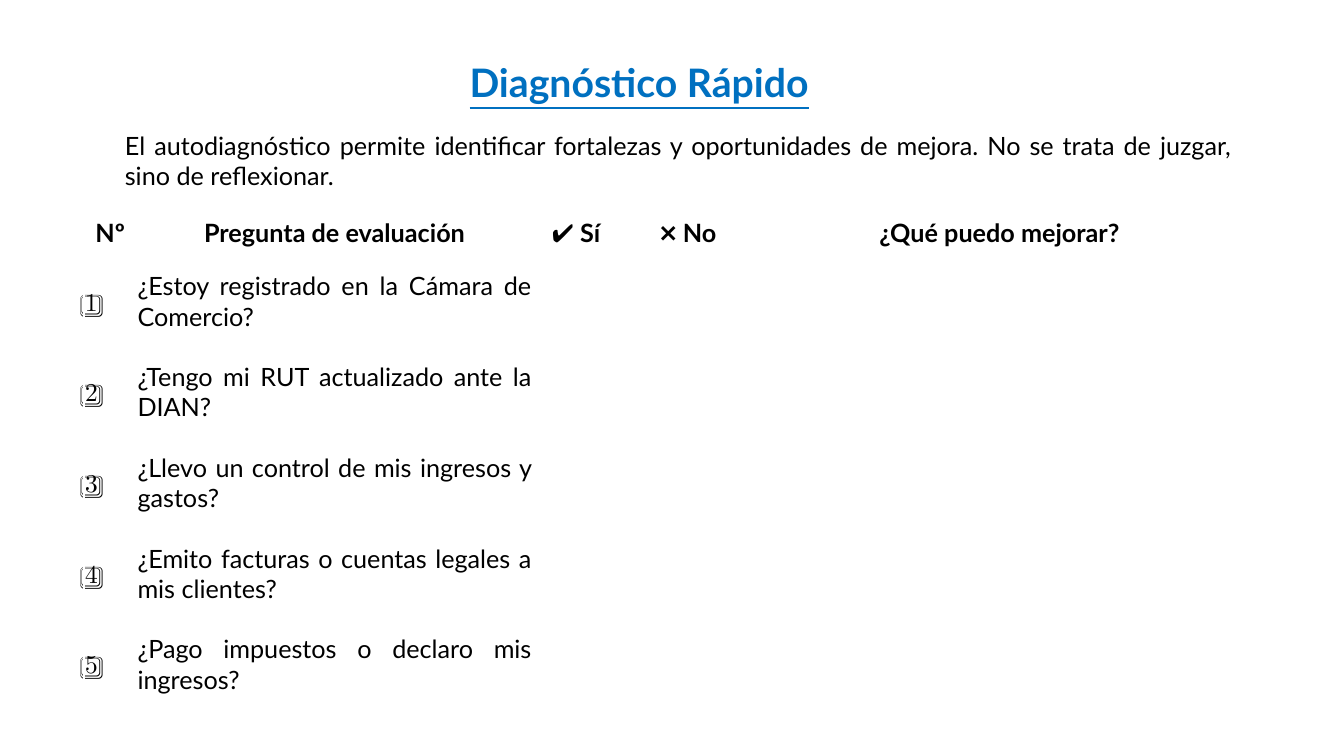
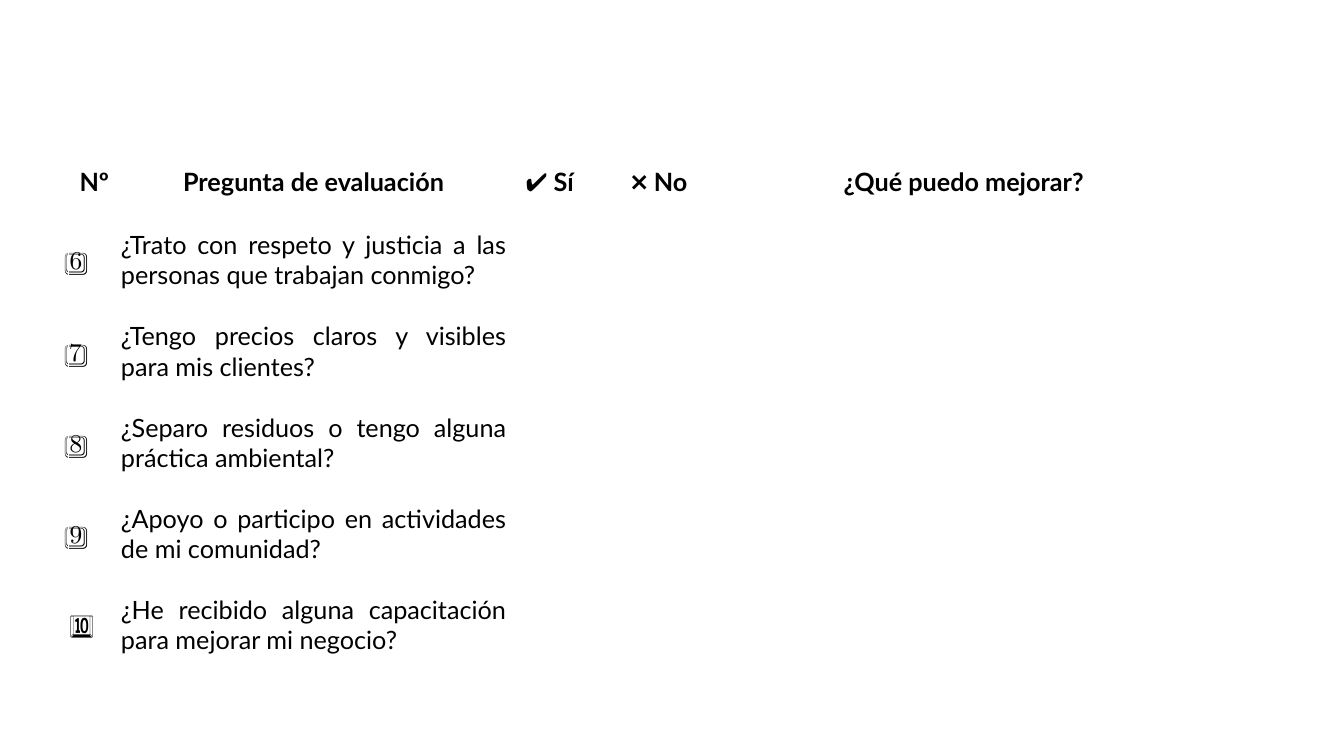
from dataclasses import dataclass

from lxml import etree
from pptx import Presentation
from pptx.dml.color import RGBColor
from pptx.enum.text import MSO_ANCHOR, MSO_AUTO_SIZE, PP_ALIGN
from pptx.oxml.ns import qn
from pptx.util import Pt

CENTER, JUSTIFY, LEFT = PP_ALIGN.CENTER, PP_ALIGN.JUSTIFY, PP_ALIGN.LEFT
MIDDLE = MSO_ANCHOR.MIDDLE
NO_AUTOFIT = MSO_AUTO_SIZE.NONE

FONT = "Lato"
COLORS = {"title": "0070C0", "text": "000000"}
TITLE_SIZE, TEXT_SIZE = 28, 18
CONTENT_LAYOUT, BLANK_LAYOUT = 1, 6

HEADERS = ("Nº", "Pregunta de evaluación", "✔️ Sí", "❌ No", "¿Qué puedo mejorar?")
COLUMN_WIDTHS = (37.5, 283, 62, 98, 347)  # proportions, scaled to the table width
CELL_MARGIN = 0.75


@dataclass(frozen=True)
class Question:
    number: str
    text: str


@dataclass(frozen=True)
class QuestionTable:
    left: float
    top: float
    width: float
    row_heights: tuple[float, ...]
    questions: tuple[Question, ...]


LEGAL_TABLE = QuestionTable(
    60, 150, 827.5, (32.4,) + (64.8,) * 5,
    (
        Question("1️⃣", "¿Estoy registrado en la Cámara de Comercio?"),
        Question("2️⃣", "¿Tengo mi RUT actualizado ante la DIAN?"),
        Question("3️⃣", "¿Llevo un control de mis ingresos y gastos?"),
        Question("4️⃣", "¿Emito facturas o cuentas legales a mis clientes?"),
        Question("5️⃣", "¿Pago impuestos o declaro mis ingresos?"),
    ),
)
SOCIAL_TABLE = QuestionTable(
    49, 111, 809, (37.2, 74.4, 56, 74.4, 56, 74.4),
    (
        Question("6️⃣", "¿Trato con respeto y justicia a las personas que trabajan conmigo?"),
        Question("7️⃣", "¿Tengo precios claros y visibles para mis clientes?"),
        Question("8️⃣", "¿Separo residuos o tengo alguna práctica ambiental?"),
        Question("9️⃣", "¿Apoyo o participo en actividades de mi comunidad?"),
        Question("🔟", "¿He recibido alguna capacitación para mejorar mi negocio?"),
    ),
)


def format_paragraph(paragraph, alignment, size: float = TEXT_SIZE,
                     color: str = "text", bold: bool = False) -> None:
    paragraph.alignment = alignment
    font = paragraph.font
    font.name, font.size, font.bold = FONT, Pt(size), bold
    font.color.rgb = RGBColor.from_string(COLORS[color])


def place(shape, left: float, top: float, width: float, height: float) -> None:
    shape.left, shape.top = Pt(left), Pt(top)
    shape.width, shape.height = Pt(width), Pt(height)


def fill_placeholder(shape, text: str):
    """Write the text and return its paragraph."""
    shape.text_frame.text = text
    shape.text_frame.auto_size = NO_AUTOFIT
    return shape.text_frame.paragraphs[0]


def remove_bullet(paragraph) -> None:
    properties = paragraph._p.get_or_add_pPr()
    properties.set("marL", "0")
    properties.set("indent", "0")
    etree.SubElement(properties, qn("a:buNone"))


def add_title(slide, text: str) -> None:
    title = slide.shapes.title
    place(title, 181.5, 38, 550, 41)
    paragraph = fill_placeholder(title, text)
    format_paragraph(paragraph, CENTER, TITLE_SIZE, "title", bold=True)
    paragraph.font.underline = True


def add_introduction(slide, text: str) -> None:
    body = slide.placeholders[1]
    place(body, 82, 89.5, 805, 51)
    paragraph = fill_placeholder(body, text)
    remove_bullet(paragraph)
    paragraph.space_before = Pt(0)
    format_paragraph(paragraph, JUSTIFY)


def add_question_table(slide, content: QuestionTable) -> None:
    frame = slide.shapes.add_table(
        len(content.row_heights), len(HEADERS), Pt(content.left), Pt(content.top),
        Pt(content.width), Pt(sum(content.row_heights)))
    table = frame.table
    table.first_row = table.horz_banding = False

    # Grid
    scale = content.width / sum(COLUMN_WIDTHS)
    for column, width in zip(table.columns, COLUMN_WIDTHS):
        column.width = Pt(width * scale)
    for row, height in zip(table.rows, content.row_heights):
        row.height = Pt(height)

    # Cells: the answer columns stay empty
    answers = ("",) * (len(HEADERS) - 2)
    rows = [HEADERS] + [(question.number, question.text) + answers
                        for question in content.questions]
    for row_index, texts in enumerate(rows):
        is_header = row_index == 0
        for column_index, text in enumerate(texts):
            cell = table.cell(row_index, column_index)
            cell.fill.background()
            cell.vertical_anchor = MIDDLE
            cell.margin_left = cell.margin_right = cell.margin_top = Pt(CELL_MARGIN)
            cell.margin_bottom = Pt(0)
            cell.text = text
            alignment = CENTER if is_header else JUSTIFY if column_index == 1 else LEFT
            format_paragraph(cell.text_frame.paragraphs[0], alignment, bold=is_header)


def main() -> None:
    presentation = Presentation()
    presentation.slide_width, presentation.slide_height = Pt(960), Pt(540)
    layouts = presentation.slide_layouts

    # Slide 1: title, introduction and first questions
    slide = presentation.slides.add_slide(layouts[CONTENT_LAYOUT])
    add_title(slide, "Diagnóstico Rápido")
    add_introduction(slide, "El autodiagnóstico permite identificar fortalezas y oportunidades "
                            "de mejora. No se trata de juzgar, sino de reflexionar.")
    add_question_table(slide, LEGAL_TABLE)

    # Slide 2: remaining questions
    slide = presentation.slides.add_slide(layouts[BLANK_LAYOUT])
    add_question_table(slide, SOCIAL_TABLE)

    presentation.save("out.pptx")


if __name__ == "__main__":
    main()
